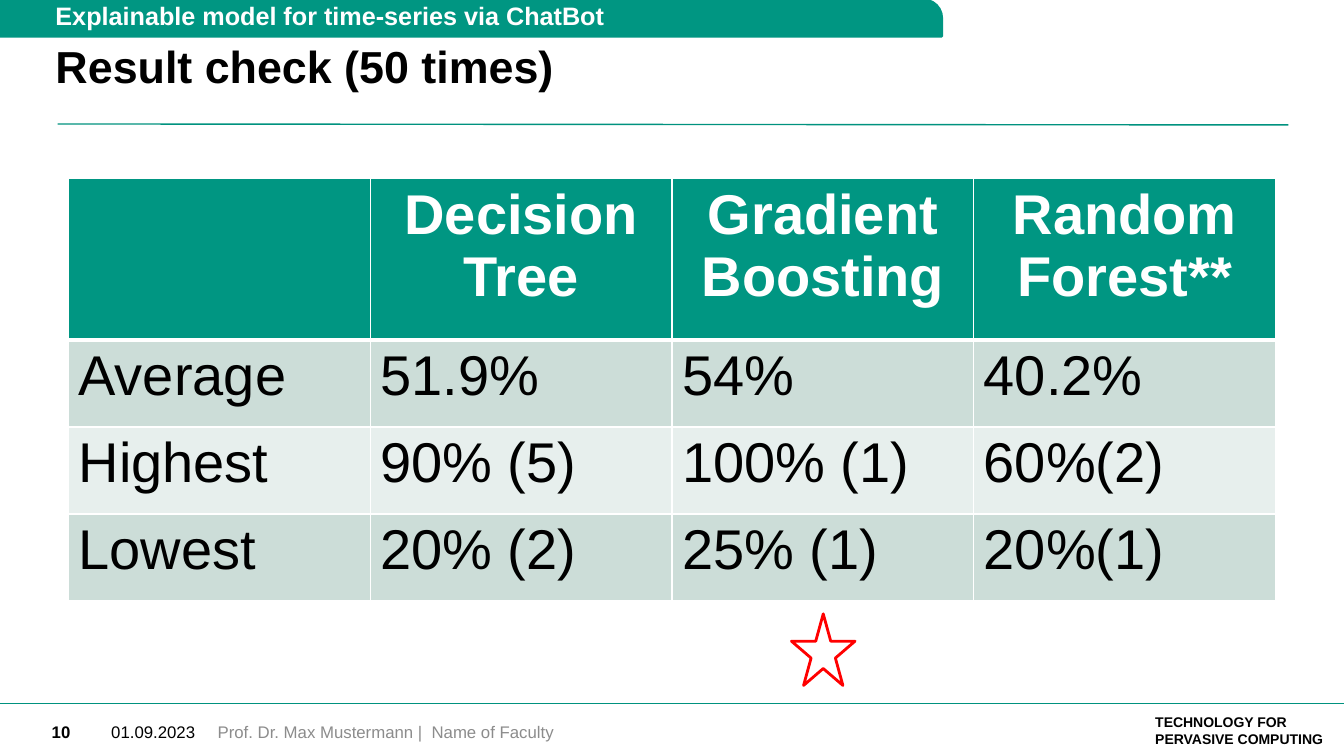
from lxml import etree
from pptx import Presentation
from pptx.dml.color import RGBColor
from pptx.enum.shapes import MSO_CONNECTOR, MSO_SHAPE
from pptx.enum.text import MSO_ANCHOR, MSO_AUTO_SIZE, PP_ALIGN
from pptx.oxml.ns import qn
from pptx.util import Inches, Pt

WIDTH, HEIGHT = Inches(13.33), Inches(7.5)
LEFT, CENTER = PP_ALIGN.LEFT, PP_ALIGN.CENTER
TOP, MIDDLE, BOTTOM = MSO_ANCHOR.TOP, MSO_ANCHOR.MIDDLE, MSO_ANCHOR.BOTTOM
GREEN, WHITE, BLACK, GRAY, RED = "009682", "FFFFFF", "000000", "8C8C8C", "FF0000"
RULE_GREEN = "00927F"
BANDS = ("CCDDD8", "E7EFED")

RESULTS = (
    ("", "Decision\nTree", "Gradient\nBoosting", "Random\nForest**"),
    ("Average", "51.9%", "54%", "40.2%"),
    ("Highest", "90% (5)", "100% (1)", "60%(2)"),
    ("Lowest", "20% (2)", "25% (1)", "20%(1)"),
)
HEADER_ROW, VALUE_ROW = 21.4, 11.5
MARGIN = 4.13
FOOTER_TOP, FOOTER_HEIGHT = 94.13, 5.2


def across(percent):
    return round(WIDTH * percent / 100)


def down(percent):
    return round(HEIGHT * percent / 100)


def area(left, top, width, height):
    """Turn percentages of the slide into lengths."""
    return across(left), down(top), across(width), down(height)


def color(value):
    return RGBColor.from_string(value)


def write(frame, text, size, ink, bold=False, align=LEFT):
    frame.text = text
    for para in frame.paragraphs:
        para.alignment = align
        para.font.name = "Arial"
        para.font.size = Pt(size)
        para.font.bold = bold
        para.font.color.rgb = color(ink)


def set_frame(frame, anchor, inset):
    frame.word_wrap = True
    frame.auto_size = MSO_AUTO_SIZE.NONE
    frame.vertical_anchor = anchor
    if not inset:
        frame.margin_left = frame.margin_right = 0
        frame.margin_top = frame.margin_bottom = 0


def add_text(page, place, text, size, ink, bold=False, align=LEFT,
             anchor=MIDDLE, inset=False):
    box = page.shapes.add_textbox(*area(*place))
    set_frame(box.text_frame, anchor, inset)
    write(box.text_frame, text, size, ink, bold, align)


def add_title(page, place, text):
    title = page.shapes.title
    title.left, title.top, title.width, title.height = area(*place)
    set_frame(title.text_frame, BOTTOM, False)
    write(title.text_frame, text, 32, BLACK, True)


def add_rule(page, start, end):
    rule = page.shapes.add_connector(
        MSO_CONNECTOR.STRAIGHT, across(start[0]), down(start[1]),
        across(end[0]), down(end[1]))
    rule.line.color.rgb = color(RULE_GREEN)
    rule.line.width = Pt(1)
    properties = rule._element.find(qn("p:spPr"))
    etree.SubElement(properties, qn("a:effectLst"))


def add_outline(page, kind, place, line, fill=None):
    shape = page.shapes.add_shape(kind, *area(*place))
    shape.shadow.inherit = False
    shape.line.color.rgb = color(line)
    shape.line.width = Pt(2)
    if fill:
        shape.fill.solid()
        shape.fill.fore_color.rgb = color(fill)
    else:
        shape.fill.background()
    return shape


def set_borders(cell, top, bottom):
    """Give a cell white borders; the side borders are 1 pt wide."""
    properties = cell._tc.get_or_add_tcPr()
    widths = (("lnL", 1), ("lnR", 1), ("lnT", top), ("lnB", bottom))
    for index, (side, width) in enumerate(widths):
        border = etree.Element(qn(f"a:{side}"), w=str(Pt(width)))
        fill = etree.SubElement(border, qn("a:solidFill"))
        etree.SubElement(fill, qn("a:srgbClr"), val=WHITE)
        properties.insert(index, border)


def add_results(page, left, top, width):
    row_count, column_count = len(RESULTS), len(RESULTS[0])
    height = HEADER_ROW + VALUE_ROW * (row_count - 1)
    table = page.shapes.add_table(
        row_count, column_count, *area(left, top, width, height)).table
    for row, texts in enumerate(RESULTS):
        header = row == 0
        table.rows[row].height = down(HEADER_ROW if header else VALUE_ROW)
        for column, text in enumerate(texts):
            cell = table.cell(row, column)
            cell.fill.solid()
            cell.fill.fore_color.rgb = color(
                GREEN if header else BANDS[(row - 1) % 2])
            set_borders(cell, 3 if row == 1 else 1, 3 if header else 1)
            write(cell.text_frame, text, 40, WHITE if header else BLACK,
                  header, CENTER if header else LEFT)


def add_footer(page):
    add_rule(page, (0, 93.07), (100, 93.07))
    add_text(page, (2.78, FOOTER_TOP, 3.53, FOOTER_HEIGHT), "10",
             12, BLACK, True, CENTER)
    add_text(page, (6.68, FOOTER_TOP, 9.45, FOOTER_HEIGHT), "01.09.2023",
             12, BLACK, align=CENTER)
    add_text(page, (15.45, FOOTER_TOP, 33.76, FOOTER_HEIGHT),
             "Prof. Dr. Max Mustermann |  Name of Faculty", 12, GRAY, inset=True)
    add_text(page, (85.22, 93.73, 14.78, 5.87),
             "TECHNOLOGY FOR\nPERVASIVE COMPUTING", 10, BLACK, True,
             anchor=TOP, inset=True)


def main():
    deck = Presentation()
    deck.slide_width, deck.slide_height = WIDTH, HEIGHT
    page = deck.slides.add_slide(deck.slide_layouts.get_by_name("Title Only"))
    add_footer(page)
    add_rule(page, (4.28, 16.4), (95.87, 16.53))
    tab = add_outline(page, MSO_SHAPE.ROUND_1_RECTANGLE, (0, 0, 70.07, 4.8),
                      GREEN, GREEN)
    tab.adjustments[0] = 0.5
    add_text(page, (MARGIN, 0, 64.74, 4.8),
             "Explainable model for time-series via ChatBot",
             18, WHITE, True, anchor=TOP)
    add_title(page, (MARGIN, 3.87, 75.62, 8.4), "Result check (50 times)")
    add_results(page, 5.1, 23.6, 89.8)
    add_outline(page, MSO_SHAPE.STAR_5_POINT, (58.89, 81.2, 4.73, 9.47), RED)
    deck.save("out.pptx")


if __name__ == "__main__":
    main()
